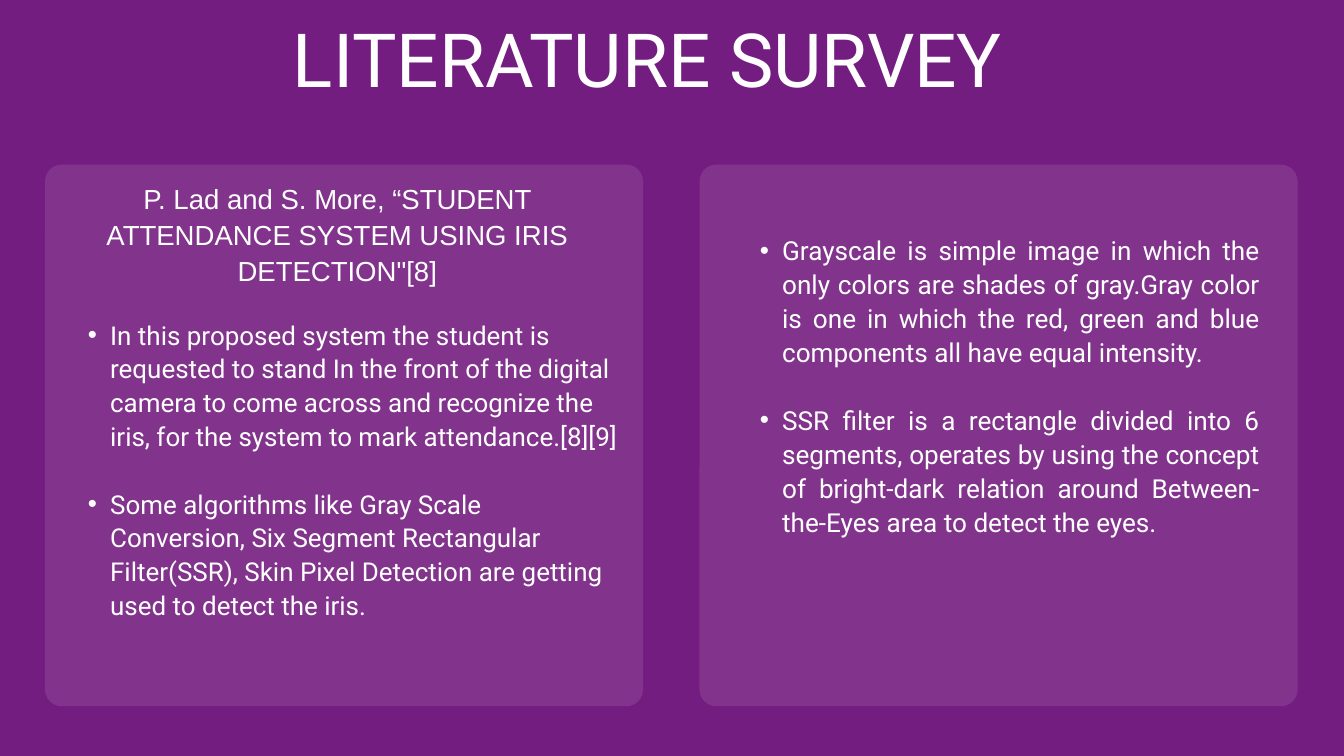
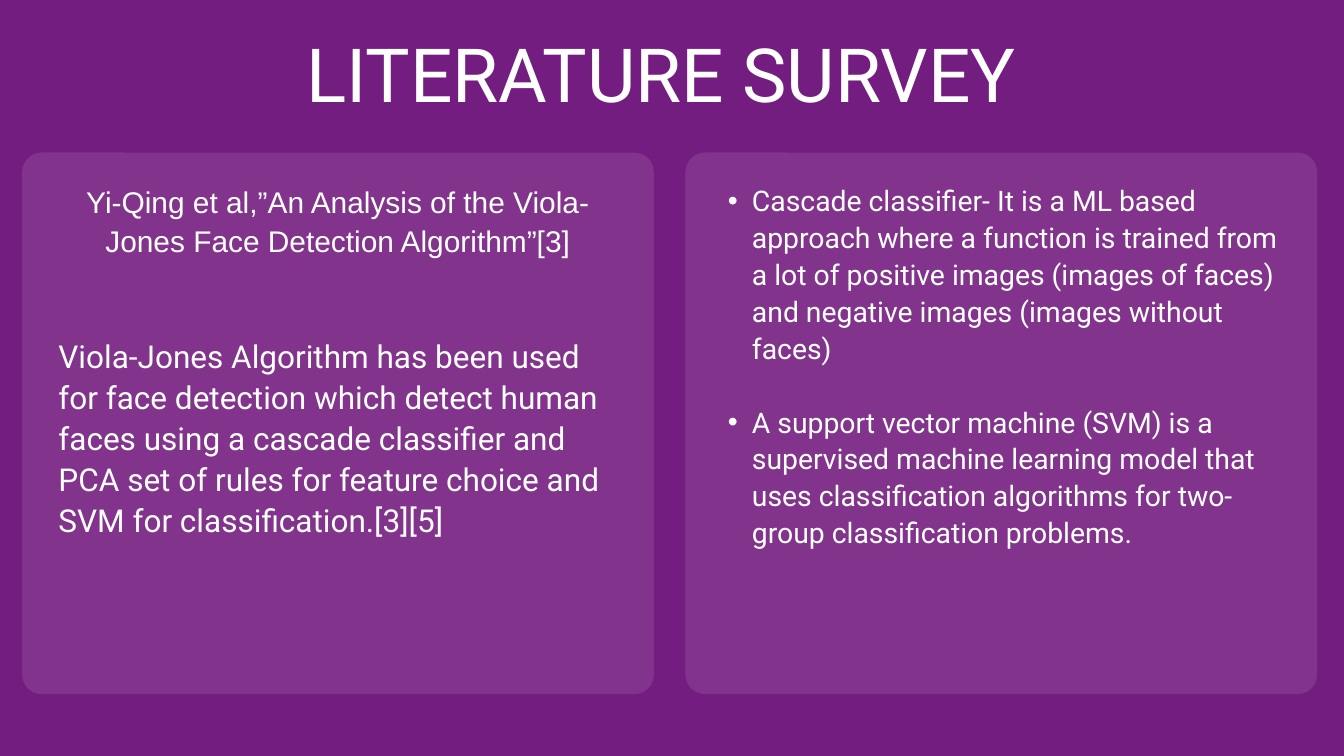
import pptx
import pptx.dml.color
import pptx.enum.shapes
import pptx.enum.text
import pptx.oxml.ns
import pptx.util
from lxml import etree
from pptx.util import Inches, Pt

PURPLE = pptx.dml.color.RGBColor(0x74, 0x1D, 0x81)
WHITE = pptx.dml.color.RGBColor(0xFF, 0xFF, 0xFF)
BODY_FONT = "Roboto"
CITATION_FONT = "Arial"
PANEL_HEIGHT = 8.06
PANEL_OPACITY = 10
ALIGN = pptx.enum.text.PP_ALIGN
qn = pptx.oxml.ns.qn


class SurveyDeck:
    """Holds the shared style and the current slide."""

    def __init__(self):
        self.deck = pptx.Presentation()
        self.deck.slide_width = Inches(20)
        self.deck.slide_height = Inches(11.25)
        self.slide = None

    def new_slide(self):
        self.slide = self.deck.slides.add_slide(self.deck.slide_layouts[6])
        background = self.slide.background.fill
        background.solid()
        background.fore_color.rgb = PURPLE

    def panels(self, left, top, width, gap, radius):
        """Two equal translucent cards, side by side."""
        for column in range(2):
            card = self.slide.shapes.add_shape(
                pptx.enum.shapes.MSO_SHAPE.ROUNDED_RECTANGLE,
                Inches(left + column * (width + gap)), Inches(top),
                Inches(width), Inches(PANEL_HEIGHT))
            card.adjustments[0] = radius / PANEL_HEIGHT
            card.shadow.inherit = False
            card.line.fill.background()
            card.fill.solid()
            card.fill.fore_color.rgb = WHITE
            colour = card.element.spPr.find(".//" + qn("a:srgbClr"))
            etree.SubElement(colour, qn("a:alpha"), val=str(PANEL_OPACITY * 1000))

    def text(self, box, paragraphs, size, spacing, font=BODY_FONT,
             align=ALIGN.LEFT, indent=None):
        """Text without margins; an indent turns paragraphs into bullets."""
        frame = self.slide.shapes.add_textbox(*map(Inches, box)).text_frame
        frame.word_wrap = True
        frame.auto_size = pptx.enum.text.MSO_AUTO_SIZE.SHAPE_TO_FIT_TEXT
        frame.margin_left = frame.margin_right = 0
        frame.margin_top = frame.margin_bottom = 0
        for index, wording in enumerate(paragraphs):
            paragraph = frame.add_paragraph() if index else frame.paragraphs[0]
            paragraph.text = wording
            paragraph.alignment = align
            paragraph.line_spacing = Pt(spacing)
            if index:
                paragraph.space_before = Pt(spacing)
            if indent:
                self.bullet(paragraph, indent)
            paragraph.font.name = font
            paragraph.font.size = Pt(size)
            paragraph.font.color.rgb = WHITE

    def bullet(self, paragraph, indent):
        paragraph.level = 1
        properties = paragraph._p.get_or_add_pPr()
        properties.set("marL", str(Inches(indent)))
        properties.set("indent", str(-Inches(indent / 2)))
        etree.SubElement(properties, qn("a:buFont"), typeface="Arial")
        etree.SubElement(properties, qn("a:buChar"), char="•")

    def title(self, left, top):
        self.text((left, top, 11.27, 1.27), ["LITERATURE SURVEY"], 80, 88)

    def citation(self, box, wording, size, spacing):
        self.text(box, [wording], size, spacing, CITATION_FONT, ALIGN.CENTER)


def main():
    survey = SurveyDeck()

    # Iris detection
    survey.new_slide()
    survey.title(4.36, 0.31)
    survey.panels(left=0.67, top=2.45, width=8.9, gap=0.84, radius=0.25)
    survey.text((0.98, 4.71, 8.27, 5.07), [
        "In this proposed system the student is requested to stand In the front "
        "of the digital camera to come across and recognize the iris, for the "
        "system to mark attendance.[8][9]",
        "Some algorithms like Gray Scale Conversion, Six Segment Rectangular "
        "Filter(SSR), Skin Pixel Detection are getting used to detect the iris.",
    ], 27.8, 36.2, indent=0.66)
    survey.citation(
        (0.79, 2.67, 8.46, 1.6),
        "P. Lad and S. More, “STUDENT ATTENDANCE SYSTEM USING IRIS DETECTION\"[8]",
        29.5, 38.4)
    survey.text((10.98, 3.45, 7.76, 6.11), [
        "Grayscale is simple image in which the only colors are shades of "
        "gray.Gray color is one in which the red, green and blue components all "
        "have equal intensity.",
        "SSR filter is a rectangle divided into 6 segments, operates by using the "
        "concept of bright-dark relation around Between-the-Eyes area to detect "
        "the eyes.",
    ], 28, 36.4, align=ALIGN.JUSTIFY, indent=0.66)

    # Viola-Jones face detection
    survey.new_slide()
    survey.title(4.56, 0.52)
    survey.panels(left=0.33, top=2.27, width=9.4, gap=0.47, radius=0.29)
    survey.text((0.87, 4.96, 8.33, 3.66), [
        "Viola-Jones Algorithm has been used for face detection which detect "
        "human faces using a cascade classifier and PCA set of rules for feature "
        "choice and SVM for classification.[3][5]",
    ], 33.8, 44)
    survey.citation(
        (1.14, 2.69, 7.78, 1.73),
        "Yi-Qing et al,”An Analysis of the Viola-Jones Face Detection Algorithm”[3]",
        32, 41.6)
    survey.text((10.47, 2.69, 8.86, 6.63), [
        "Cascade classifier- It is a ML based approach where a function is "
        "trained from a lot of positive images (images of faces) and negative "
        "images (images without faces)",
        "A support vector machine (SVM) is a supervised machine learning model "
        "that uses classification algorithms for two-group classification "
        "problems.",
    ], 30.4, 39.5, indent=0.72)

    survey.deck.save("out.pptx")


if __name__ == "__main__":
    main()
